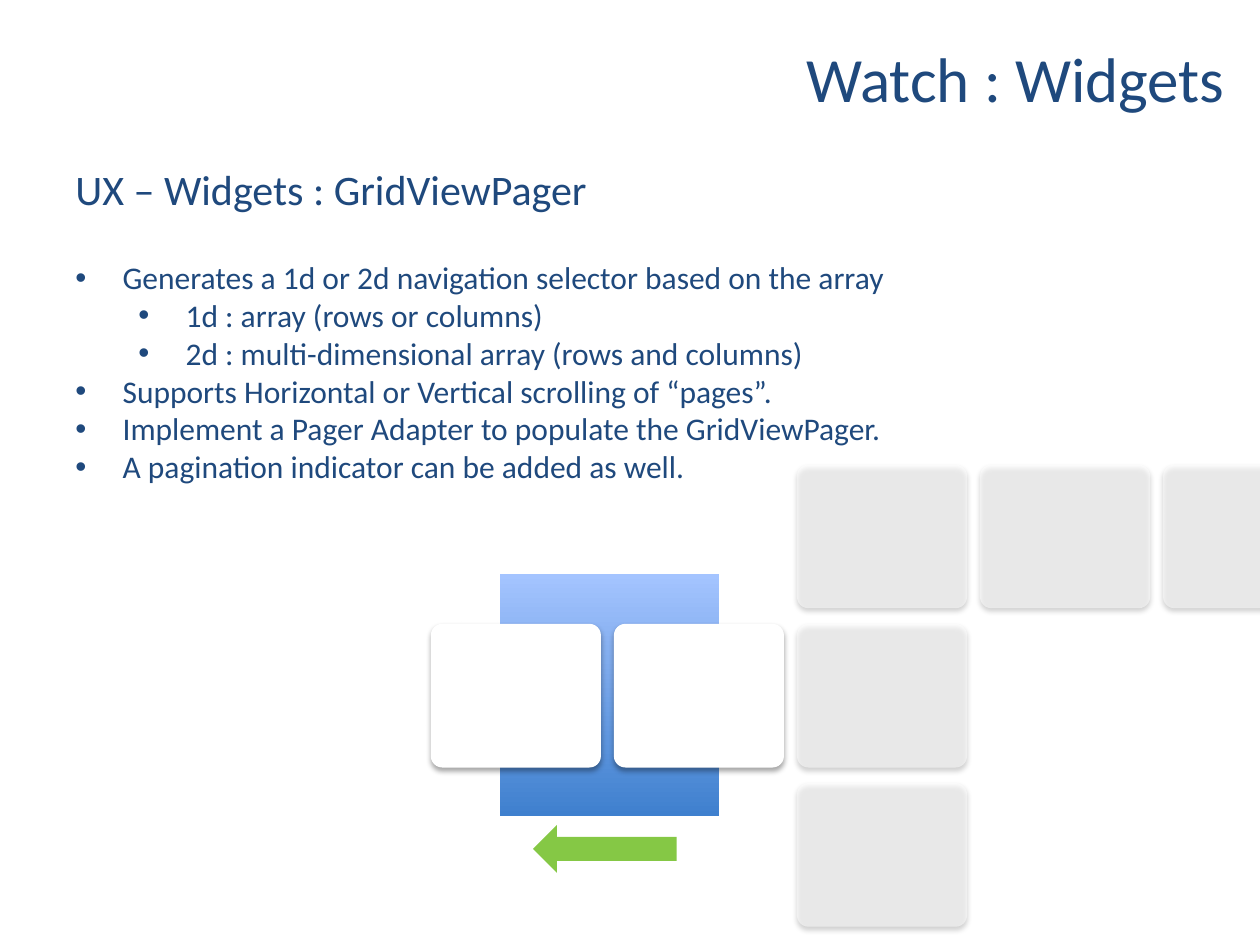
from lxml.etree import SubElement
from pptx import Presentation
from pptx.dml.color import RGBColor
from pptx.enum.shapes import MSO_SHAPE as Shape
from pptx.enum.text import MSO_ANCHOR as Anchor, PP_ALIGN as Align
from pptx.oxml.ns import qn
from pptx.util import Pt

NAVY = RGBColor(0x1F, 0x49, 0x7D)
WHITE = RGBColor(0xFF, 0xFF, 0xFF)
SCREEN_BOTTOM = RGBColor(0x3F, 0x80, 0xCE)
SCREEN_TOP = RGBColor(0xA4, 0xC4, 0xFF)
GREEN = RGBColor(0x85, 0xC8, 0x45)
FONT = "Calibri"

POINTS = [
    (0, "Generates a 1d or 2d navigation selector based on the array"),
    (1, "1d : array (rows or columns)"),
    (1, "2d : multi-dimensional array (rows and columns)"),
    (0, "Supports Horizontal or Vertical scrolling of “pages”."),
    (0, "Implement a Pager Adapter to populate the GridViewPager."),
    (0, "A pagination indicator can be added as well."),
]
ACTIVE_PAGES = [(0, 1), (1, 1)]
WAITING_PAGES = [(2, 0), (2, 1), (2, 2), (3, 0), (4, 0)]


def style_font(paragraph, size):
    """Give a paragraph the slide's font at the given size."""
    paragraph.font.name = FONT
    paragraph.font.size = Pt(size)
    paragraph.font.color.rgb = NAVY


def add_frame(slide, left, top, width, height):
    """Add a wrapping text box and return its text frame."""
    box = slide.shapes.add_textbox(Pt(left), Pt(top), Pt(width), Pt(height))
    box.text_frame.word_wrap = True
    return box.text_frame


def add_heading(slide, left, top, width, height, text, size,
                align=Align.LEFT, anchor=Anchor.TOP):
    """Add a one-line heading."""
    frame = add_frame(slide, left, top, width, height)
    frame.text = text
    frame.vertical_anchor = anchor
    heading = frame.paragraphs[0]
    heading.alignment = align
    style_font(heading, size)


def add_points(slide, left, top, width, height):
    """Add the two-level bullet list."""
    frame = add_frame(slide, left, top, width, height)
    frame.text = "\n".join(text for _, text in POINTS)
    for point, (level, _) in zip(frame.paragraphs, POINTS):
        point.level = level
        properties = point._p.get_or_add_pPr()
        properties.set("marL", str(Pt(27 + 36 * level)))
        properties.set("indent", str(Pt(-27)))
        SubElement(properties, qn("a:buFont"), typeface="Arial")
        SubElement(properties, qn("a:buChar"), char="•")
        style_font(point, 18)


def add_block(slide, preset, left, top, width, height, color=None):
    """Add an outline-free shape without a shadow."""
    block = slide.shapes.add_shape(preset, Pt(left), Pt(top), Pt(width), Pt(height))
    block.shadow.inherit = False
    block.line.fill.background()
    if color is not None:
        block.fill.solid()
        block.fill.fore_color.rgb = color
    return block


def add_alpha(color_element, percent):
    """Set the opacity of a colour element."""
    SubElement(color_element, qn("a:alpha"), val=str(percent * 1000))


def add_page(slide, left, top, width, height, opacity):
    """Add one rounded page card with a soft shadow."""
    page = add_block(slide, Shape.ROUNDED_RECTANGLE, left, top, width, height, WHITE)
    page.adjustments[0] = 0.08
    properties = page._element.spPr
    if opacity < 100:
        add_alpha(properties.find(qn("a:solidFill"))[0], opacity)
    shadow = SubElement(properties.find(qn("a:effectLst")), qn("a:outerShdw"),
                        blurRad=str(Pt(3.1)), dist=str(Pt(1.8)),
                        dir="5400000", rotWithShape="0")
    add_alpha(SubElement(shadow, qn("a:srgbClr"), val="000000"), 35)


def add_pager(slide, left, top):
    """Add the screen, the grid of pages and the swipe arrow."""
    screen = add_block(slide, Shape.RECTANGLE, left + 39.6, top + 62.6, 125.3, 138.2)
    screen.fill.gradient()
    screen.fill.gradient_angle = 90
    for stop, color in zip(screen.fill.gradient_stops, (SCREEN_BOTTOM, SCREEN_TOP)):
        stop.color.rgb = color
    for pages, opacity in ((ACTIVE_PAGES, 100), (WAITING_PAGES, 52)):
        for column, row in pages:
            add_page(slide, left + 104.6 * column, top + 91 * row, 97.2, 82.1, opacity)
    add_block(slide, Shape.LEFT_ARROW, left + 58.4, top + 205.9, 82.1, 27.4, GREEN)


def main():
    """Build and save the slide."""
    deck = Presentation()
    deck.slide_width, deck.slide_height = Pt(720), Pt(540)
    slide = deck.slides.add_slide(deck.slide_layouts[6])
    add_heading(slide, 36, 90, 671, 53.3, "UX – Widgets : GridViewPager", 24)
    add_heading(slide, 59, 12.2, 648, 64.1, "Watch : Widgets", 36,
                Align.RIGHT, Anchor.MIDDLE)
    add_points(slide, 36, 144, 643.7, 138.2)
    add_pager(slide, 246.2, 265.5)
    deck.save("out.pptx")


if __name__ == "__main__":
    main()
